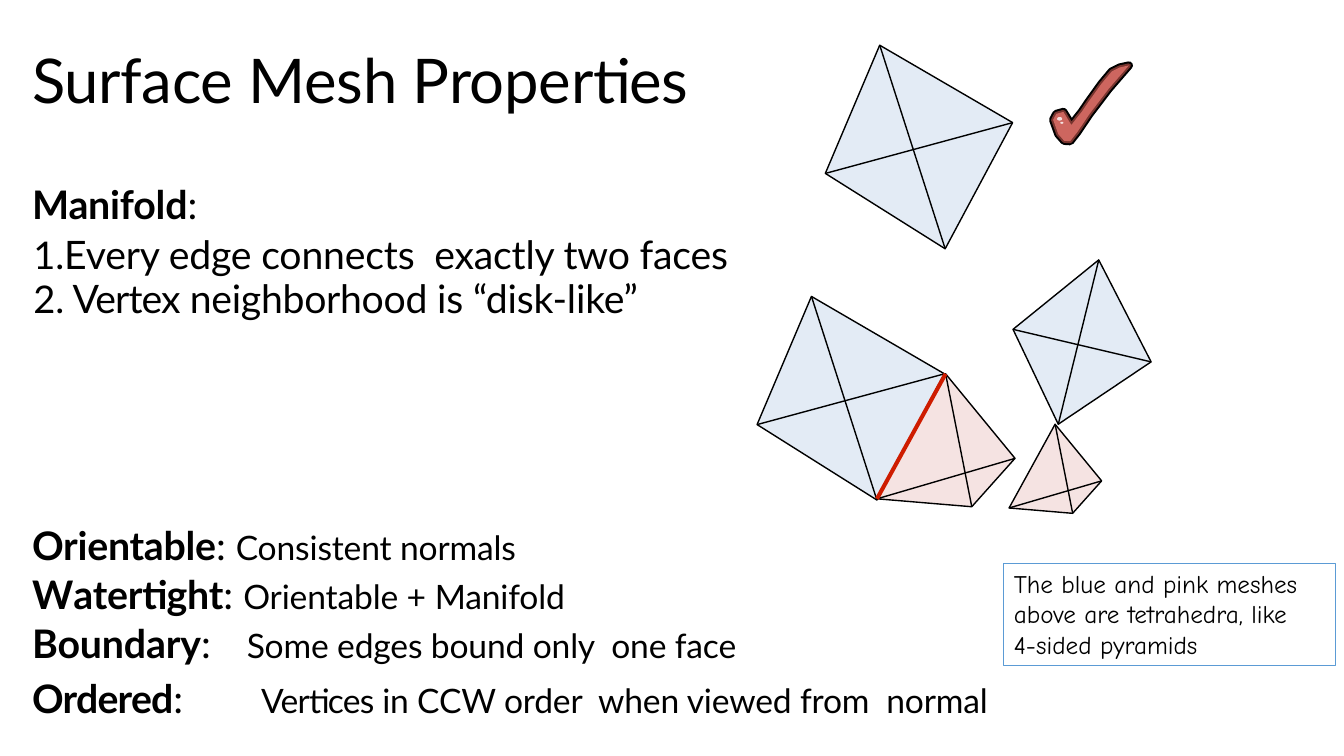
from lxml import etree
from pptx import Presentation
from pptx.dml.color import RGBColor
from pptx.enum import shapes, text
from pptx.oxml import ns
from pptx.util import Cm, Pt

# ---- Content: runs are (text, size, bold, letter spacing in points)
TITLE = [{"runs": [("Surface Mesh Properties", 44, False, -0.2)]}]
MANIFOLD = [
    {"line": Pt(33.5), "runs": [("Manifold", 28.1, True, -0.15), (":", 28.1, False, 0)]},
    {"line": Pt(33.5), "before": 2.2, "number": True, "left": 0.03, "tab": 0.76,
     "runs": [("Every edge connects  exactly two faces", 28, False, -0.1)]},
    {"line": Pt(31.6), "number": True, "left": 1.02, "hang": 0.99, "tab": 1.02,
     "runs": [("Vertex ", 28, False, -0.6), ("neighborhood ", 28, False, -0.2),
              ("is “disk-like”", 28, False, -0.1)]},
]
TERMS = [
    {"line": 1.01, "runs": [("Orientable", 28.1, True, -0.2), (": ", 28.1, False, -0.2),
                            ("Consistent normals", 24, False, -0.1)]},
    {"line": 1.01, "before": 0.6,
     "runs": [("W", 28.1, True, -1.6), ("atertight", 28.1, True, -0.15),
              (": ", 28.1, False, 0), ("Orientable ", 24, False, -0.1),
              ("+ ", 24, False, 0), ("Manifold", 24, False, -0.1)]},
    {"line": Pt(33.5), "before": 2.2, "tab": 5.41,
     "runs": [("Boundary", 28.1, True, -0.1), (":", 28.1, False, -0.1),
              ("\t", 32, False, 0), ("Some edges bound only  one face", 24, False, -0.1)]},
    {"line": 1.01, "before": 0.6, "tab": 5.77,
     "runs": [("Ordered", 28, True, -0.5), (":", 28, False, -0.5), ("\t", 32, False, 0),
              ("Vertices ", 24, False, -0.5),
              ("in CCW order  when viewed from  normal", 24, False, -0.1)]},
]
NOTE = [{"runs": [(line, 18, False, 0)]} for line in (
    "The blue and pink meshes", "above are tetrahedra, like", "4-sided pyramids")]

# Corners of each tetrahedron, measured in cm from its top vertex
BLUE_TETRA = [(0, 0), (-1.37, 3.23), (1.65, 5.13), (3.35, 1.95)]
TILTED_TETRA = [(0, 0), (-2.16, 1.75), (-1.02, 4.14), (1.32, 2.57)]
PINK_TETRA = [(0, 0), (-1.73, 3.15), (0.66, 3.35), (1.75, 2.13)]
BLUE, PINK = "E3EBF5", "F5E3E2"
MESHES = [  # corners, top vertex, scale, fill
    (BLUE_TETRA, (20.45, 7.47), 1, BLUE),
    (BLUE_TETRA, (22.17, 1.14), 1, BLUE),
    (PINK_TETRA, (23.83, 9.42), 1, PINK),
    (TILTED_TETRA, (27.69, 6.55), 1, BLUE),
    (PINK_TETRA, (26.59, 10.69), 0.67, PINK),
]
SHARED_EDGE = ((23.83, 9.42), (22.1, 12.57))

# Check mark outline, in cm on the slide; rims are drawn from wide to narrow
CHECK = [(27, 3.15), (27.26, 2.82), (27.76, 2.1), (28.08, 1.9), (28.45, 1.65),
         (27.94, 2.24), (27.46, 2.87), (27.15, 3.33), (26.97, 3.56), (26.82, 3.55),
         (26.67, 3.38), (26.54, 3.02), (26.62, 2.87), (26.8, 2.82)]
CHECK[2:4] = [(27.43, 2.57), (27.76, 2.11), (28.02, 1.8), (28.22, 1.7)]
CHECK_RIMS = [("000000", 5.8), ("77342E", 2.9)]
CHECK_FILL = "CD665F"
GLINTS = [(26.64, 2.95, 0.13, 0.09), (26.72, 3.07, 0.08, 0.05)]

prs = Presentation()
prs.slide_width, prs.slide_height = Cm(33.87), Cm(19.05)
canvas = prs.slides.add_slide(prs.slide_layouts[6]).shapes


def color(value):
    return RGBColor.from_string(value)


def paint(shape, fill=None, line=None, width=1):
    shape.shadow.inherit = False
    if fill:
        shape.fill.solid()
        shape.fill.fore_color.rgb = color(fill)
    else:
        shape.fill.background()
    if line:
        shape.line.color.rgb = color(line)
        shape.line.width = Pt(width)
    else:
        shape.line.fill.background()


def add_element(parent, tag, **attributes):
    return etree.SubElement(parent, ns.qn(tag), attributes)


def write(shape, paragraphs, font="Lato"):
    frame = shape.text_frame
    for index, content in enumerate(paragraphs):
        para = frame.add_paragraph() if index else frame.paragraphs[0]
        props = para._p.get_or_add_pPr()
        if content.get("number"):
            props.set("marL", str(Cm(content["left"])))
            props.set("indent", str(-Cm(content.get("hang", 0))))
            add_element(props, "a:buSzPct", val="97000")
            add_element(props, "a:buAutoNum", type="arabicPeriod")
        if "tab" in content:
            tabs = add_element(props, "a:tabLst")
            add_element(tabs, "a:tab", pos=str(Cm(content["tab"])), algn="l")
        para.alignment = text.PP_ALIGN.LEFT
        para.line_spacing = content.get("line")
        if "before" in content:
            para.space_before = Pt(content["before"])
        for words, size, bold, spacing in content["runs"]:
            run = para.add_run()
            run.text = words
            run.font.name, run.font.size, run.font.bold = font, Pt(size), bold
            run.font.color.rgb = color("000000")
            run._r.get_or_add_rPr().set("spc", str(round(spacing * 100)))


def add_text(left, top, width, height, paragraphs, anchor=text.MSO_ANCHOR.TOP):
    box = canvas.add_textbox(Cm(left), Cm(top), Cm(width), Cm(height))
    frame = box.text_frame
    frame.word_wrap = True
    frame.vertical_anchor = anchor
    frame.margin_left = frame.margin_right = frame.margin_bottom = 0
    frame.margin_top = Cm(0.03)
    write(box, paragraphs)


def to_slide(points):
    return [(Cm(x), Cm(y)) for x, y in points]


def add_outline(points, **style):
    builder = canvas.build_freeform(*points[0])
    builder.add_line_segments(points[1:], close=True)
    paint(builder.convert_to_shape(), **style)


def add_edge(start, end, line="000000", width=1):
    edge = canvas.add_connector(shapes.MSO_CONNECTOR.STRAIGHT, *start, *end)
    edge.line.color.rgb = color(line)
    edge.line.width = Pt(width)
    add_element(edge._element.spPr, "a:effectLst")


# ---- Title and definitions
add_text(0.81, 1.02, 18.26, 1.9, TITLE, text.MSO_ANCHOR.MIDDLE)
add_text(0.81, 4.52, 26.92, 3.66, MANIFOLD)
add_text(0.81, 13.1, 25.53, 5.8, TERMS)

# ---- Tetrahedra: a filled outline and both diagonals
for corners, (top_x, top_y), scale, fill in MESHES:
    mesh = to_slide([(top_x + x * scale, top_y + y * scale) for x, y in corners])
    top, left, bottom, right = mesh
    add_outline(mesh, fill=fill, line="000000")
    add_edge(bottom, top)
    add_edge(right, left)
add_edge(*to_slide(SHARED_EDGE), line="CE1C00", width=2.89)

# ---- Check mark
for rim, width in CHECK_RIMS:
    add_outline(to_slide(CHECK), fill=CHECK_FILL, line=rim, width=width)
add_outline(to_slide(CHECK), fill=CHECK_FILL)
for glint in GLINTS:
    paint(canvas.add_shape(shapes.MSO_SHAPE.OVAL, *map(Cm, glint)), fill=PINK)

# ---- Note
note = canvas.add_shape(shapes.MSO_SHAPE.RECTANGLE, Cm(25.3), Cm(14.2), Cm(8.36), Cm(2.57))
paint(note, line="5B9BD5", width=0.75)
note.text_frame.word_wrap = False
note.text_frame.vertical_anchor = text.MSO_ANCHOR.TOP
write(note, NOTE, "Comic Neue")

prs.save("out.pptx")
